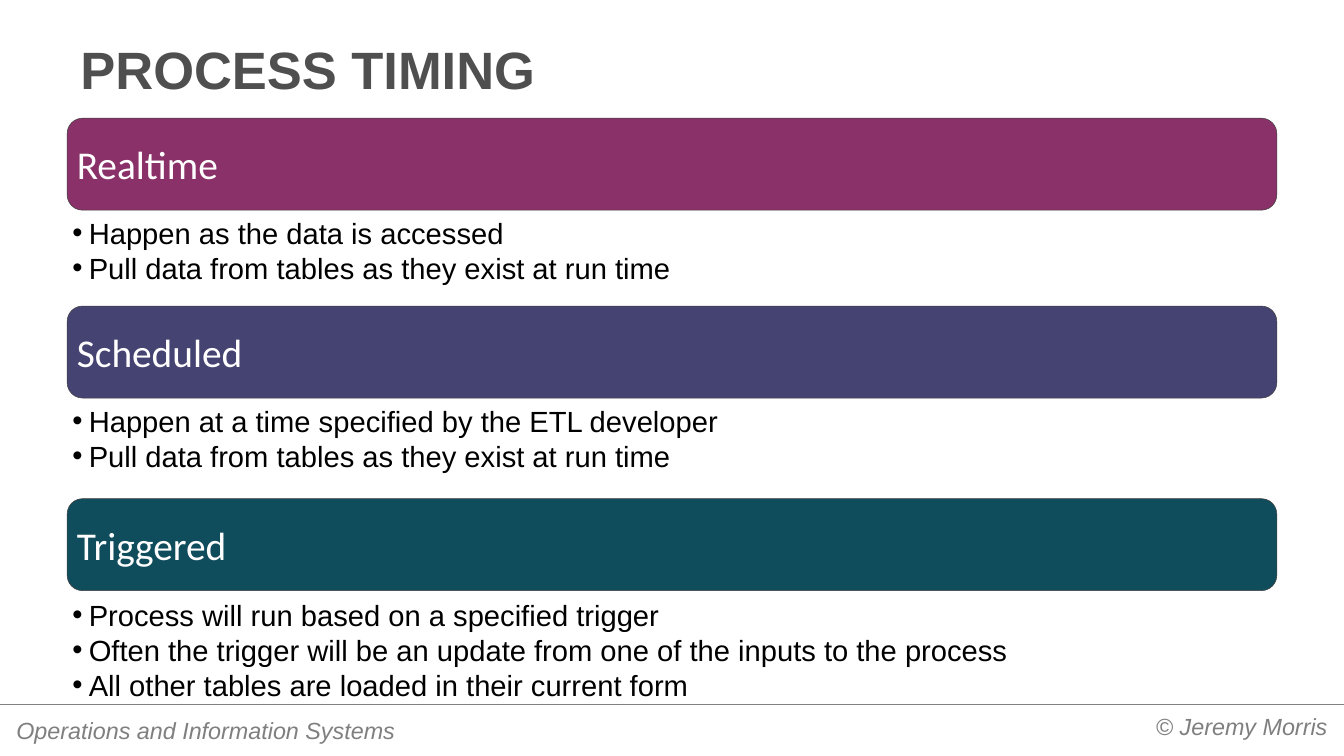
import pptx
import pptx.dml.color
import pptx.enum.shapes
import pptx.enum.text
import pptx.oxml.ns
import pptx.util
from lxml import etree

Cm = pptx.util.Cm
Pt = pptx.util.Pt
ANCHOR = pptx.enum.text.MSO_ANCHOR
ALIGN = pptx.enum.text.PP_ALIGN

COLORS = {
    "title": "4F4F4F", "footer": "7F7F7F", "rule": "808080", "outline": "404040",
    "white": "FFFFFF", "black": "000000",
    "plum": "893168", "indigo": "454372", "teal": "0F4C5C",
}
LEFT, WIDTH, BANNER_HEIGHT = Cm(3.25), Cm(58.52), Cm(4.45)

# Heading, colour, banner top, list top, list height, list items
SECTIONS = [
    ("Realtime", "plum", 5.72, 10.29, 3.68,
     ["Happen as the data is accessed",
      "Pull data from tables as they exist at run time"]),
    ("Scheduled", "indigo", 14.81, 19.38, 3.68,
     ["Happen at a time specified by the ETL developer",
      "Pull data from tables as they exist at run time"]),
    ("Triggered", "teal", 24.13, 28.78, 5.38,
     ["Process will run based on a specified trigger",
      "Often the trigger will be an update from one of the inputs to the process",
      "All other tables are loaded in their current form"]),
]


def rgb(name):
    return pptx.dml.color.RGBColor.from_string(COLORS[name])


def format_text(paragraph, font_name, size, color, align=ALIGN.LEFT, bold=False, italic=False):
    paragraph.alignment = align
    paragraph.space_before = Pt(0)
    font = paragraph.font
    font.name, font.size, font.bold, font.italic = font_name, Pt(size), bold, italic
    font.color.rgb = rgb(color)


presentation = pptx.Presentation()
presentation.slide_width = Cm(65.02)
presentation.slide_height = Cm(36.58)
slide = presentation.slides.add_slide(presentation.slide_layouts.get_by_name("Comparison"))
title, *bodies = slide.placeholders

# Footer rule
rule = slide.shapes.add_connector(
    pptx.enum.shapes.MSO_CONNECTOR.STRAIGHT, 0, Cm(34.06), presentation.slide_width, Cm(34.06))
rule.line.color.rgb = rgb("rule")
rule.line.width = Pt(0.75)
etree.SubElement(rule._element.spPr, pptx.oxml.ns.qn("a:effectLst"))

# Footer texts
for text, left, top, width, height, align in [
    ("© Jeremy Morris", 37.03, 34.24, 27.66, 3.2, ALIGN.RIGHT),
    ("Operations and Information Systems", 0.33, 34.44, 22.22, 1.83, ALIGN.LEFT),
]:
    footer = slide.shapes.add_textbox(Cm(left), Cm(top), Cm(width), Cm(height))
    frame = footer.text_frame
    frame.word_wrap = True
    frame.margin_left = frame.margin_right = Cm(0.46)
    frame.margin_top = frame.margin_bottom = Cm(0.23)
    frame.text = text
    format_text(frame.paragraphs[0], "Arial", 32, "footer", align, italic=True)

# Title
title.left, title.top, title.width, title.height = LEFT, Cm(1.35), WIDTH, Cm(3.78)
frame = title.text_frame
frame.text = "PROCESS TIMING"
frame.auto_size = pptx.enum.text.MSO_AUTO_SIZE.NONE
frame.vertical_anchor = ANCHOR.BOTTOM
frame.margin_left = frame.margin_right = Cm(0.64)
frame.margin_top = frame.margin_bottom = Cm(0.3)
format_text(frame.paragraphs[0], "Arial", 72, "title", bold=True)

# Banners with their lists
for body, (heading, color, banner_top, list_top, list_height, items) in zip(bodies, SECTIONS):
    banner = slide.shapes.add_shape(
        pptx.enum.shapes.MSO_SHAPE.ROUNDED_RECTANGLE, LEFT, Cm(banner_top), WIDTH, BANNER_HEIGHT)
    banner.shadow.inherit = False
    banner.fill.solid()
    banner.fill.fore_color.rgb = rgb(color)
    banner.line.color.rgb = rgb("outline")
    banner.line.width = Pt(0.75)
    banner.text_frame.text = heading
    banner.text_frame.vertical_anchor = ANCHOR.MIDDLE
    format_text(banner.text_frame.paragraphs[0], "Calibri", 54, "white")

    body.left, body.top, body.width, body.height = LEFT, Cm(list_top), WIDTH, Cm(list_height)
    frame = body.text_frame
    frame.text = "\n".join(items)
    frame.auto_size = pptx.enum.text.MSO_AUTO_SIZE.NONE
    frame.vertical_anchor = ANCHOR.TOP
    for paragraph in frame.paragraphs:
        properties = paragraph._p.get_or_add_pPr()
        properties.set("marL", str(Cm(0.79)))
        properties.set("indent", str(-Cm(0.79)))
        etree.SubElement(properties, pptx.oxml.ns.qn("a:buFont"), typeface="Arial")
        etree.SubElement(properties, pptx.oxml.ns.qn("a:buChar"), char="•")
        paragraph.line_spacing = Pt(48)
        format_text(paragraph, "Arial", 40, "black")

# Unused placeholder
for body in bodies[len(SECTIONS):]:
    body._element.getparent().remove(body._element)

presentation.save("out.pptx")
